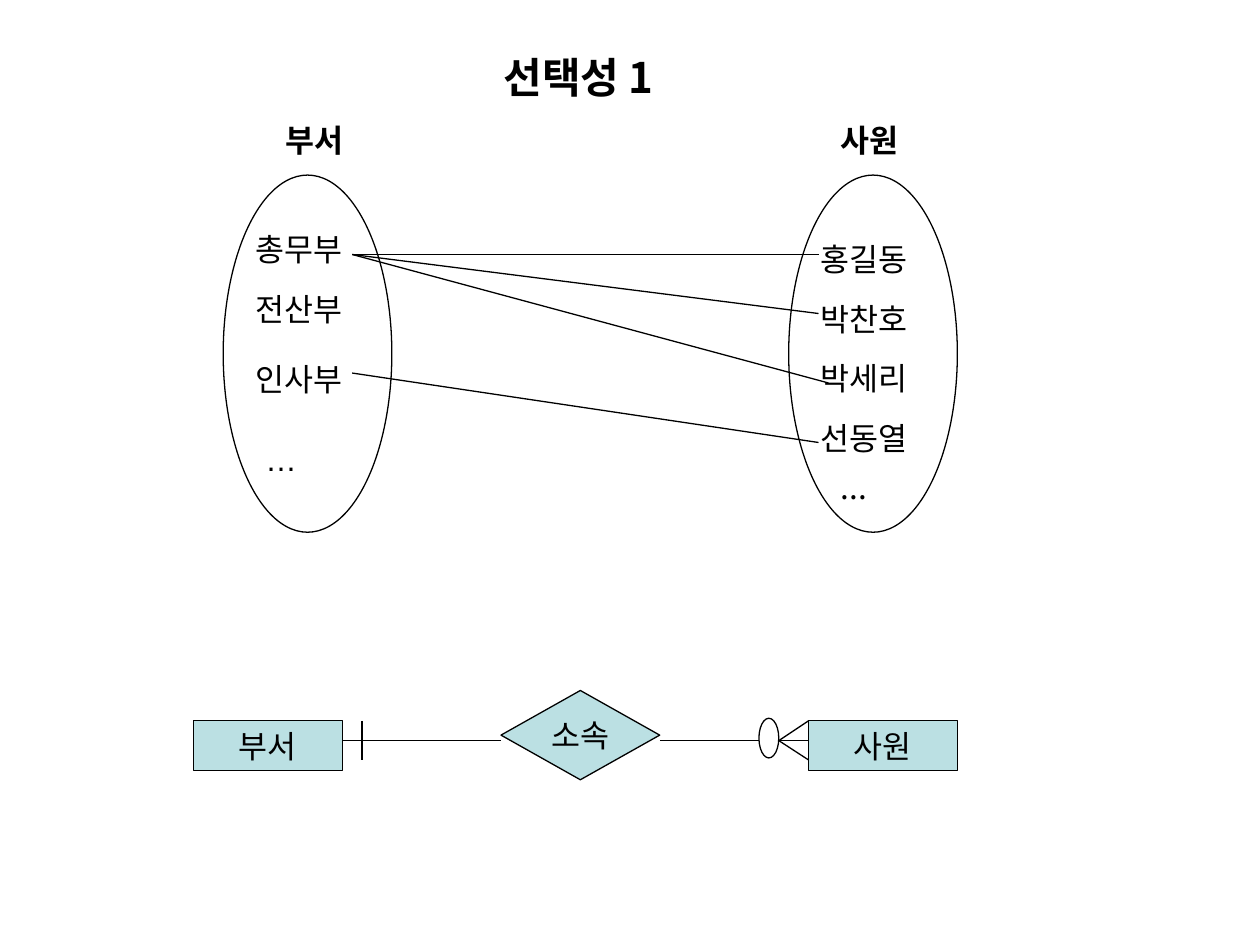
"""Build the slide on relation selectivity between departments and staff."""
from dataclasses import dataclass

from lxml import etree
from pptx import Presentation
from pptx.dml.color import RGBColor
from pptx.enum.shapes import MSO_CONNECTOR, MSO_SHAPE
from pptx.enum.text import MSO_ANCHOR, MSO_AUTO_SIZE, PP_ALIGN
from pptx.oxml.ns import qn
from pptx.util import Cm, Pt

OVAL = MSO_SHAPE.OVAL
RECT = MSO_SHAPE.RECTANGLE
DIAMOND = MSO_SHAPE.FLOWCHART_DECISION
STRAIGHT = MSO_CONNECTOR.STRAIGHT
LEFT, CENTER = PP_ALIGN.LEFT, PP_ALIGN.CENTER
TOP, MIDDLE = MSO_ANCHOR.TOP, MSO_ANCHOR.MIDDLE
GROW, FIXED = MSO_AUTO_SIZE.SHAPE_TO_FIT_TEXT, MSO_AUTO_SIZE.NONE
KOREAN, LATIN = "Noto Sans CJK KR", "Arial"
BLACK, WHITE, TEAL = "000000", "FFFFFF", "BBE0E3"


@dataclass
class Label:
    text: str
    x: float
    y: float
    wide: float = 2.6
    bold: bool = False
    face: str = KOREAN


@dataclass
class Node:
    kind: int
    x: float
    y: float
    wide: float
    high: float
    fill: str = WHITE
    text: str = ""


@dataclass
class Link:
    x1: float
    y1: float
    x2: float
    y2: float


MID = 14.93
DEPTS = (("총무부", 4.52), ("전산부", 5.72), ("인사부", 7.14))
STAFF = ("홍길동", "박찬호", "박세리", "선동열")

LABELS = [
    Label("부서", 5.5, 2.31, 3.6, True),
    Label("사원", 16.7, 2.31, 3.6, True),
    *(Label(name, 4.9, y) for name, y in DEPTS),
    Label("…", 5.1, 8.74, face=LATIN),
    *(Label(name, 16.3, 4.72 + 1.2 * row) for row, name in enumerate(STAFF)),
    Label("...", 16.7, 9.32),
]
SETS = [Node(OVAL, x, 3.53, 3.4, 7.2) for x in (4.5, 15.9)]
MODEL = [
    Node(RECT, 3.9, 14.53, 3, 1, TEAL, "부서"),
    Node(RECT, 16.3, 14.53, 3, 1, TEAL, "사원"),
    Node(DIAMOND, 10.1, 13.92, 3.2, 1.8, TEAL, "소속"),
]
RING = Node(OVAL, 15.3, 14.48, 0.4, 0.8)
LINKS = [
    Link(7.1, 5.13, 16.5, 5.13),
    Link(7.1, 5.13, 16.5, 6.32),
    Link(7.1, 5.13, 16.7, 7.72),
    Link(7.1, 7.52, 16.5, 8.92),
    Link(6.9, MID, 10.1, MID),
    Link(13.3, MID, 16.3, MID),
    Link(7.3, 14.53, 7.3, 15.32),
    Link(16.3, 14.53, 15.7, MID),
    Link(15.7, MID, 16.3, 15.32),
]


def color(code: str) -> RGBColor:
    """Turn a hex string into a colour."""
    return RGBColor.from_string(code)


def write(frame, text: str, size: int = 18, bold: bool = False,
          face: str = KOREAN, align=LEFT) -> None:
    """Put one run of text into a frame."""
    para = frame.paragraphs[0]
    para.alignment = align
    run = para.add_run()
    run.text = text
    font = run.font
    font.size, font.bold, font.name = Pt(size), bold, face
    font.color.rgb = color(BLACK)
    etree.SubElement(run._r.get_or_add_rPr(), qn("a:ea"), typeface=face)


def add_label(slide, item: Label) -> None:
    """Draw a free label."""
    box = slide.shapes.add_textbox(
        Cm(item.x), Cm(item.y), Cm(item.wide), Cm(1.02))
    frame = box.text_frame
    frame.word_wrap = True
    frame.auto_size = GROW
    write(frame, item.text, bold=item.bold, face=item.face)


def add_node(slide, item: Node) -> None:
    """Draw an outlined shape with optional centred text."""
    shape = slide.shapes.add_shape(
        item.kind, Cm(item.x), Cm(item.y), Cm(item.wide), Cm(item.high))
    shape.shadow.inherit = False
    shape.fill.solid()
    shape.fill.fore_color.rgb = color(item.fill)
    shape.line.color.rgb = color(BLACK)
    shape.line.width = Pt(0.75)
    if item.text:
        frame = shape.text_frame
        frame.word_wrap = False
        frame.vertical_anchor = MIDDLE
        write(frame, item.text, align=CENTER)


def add_link(slide, item: Link) -> None:
    """Draw a thin straight line."""
    line = slide.shapes.add_connector(
        STRAIGHT, Cm(item.x1), Cm(item.y1), Cm(item.x2), Cm(item.y2))
    line.line.color.rgb = color(BLACK)
    line.line.width = Pt(0.75)
    etree.SubElement(line._element.spPr, qn("a:effectLst"))


def set_title(slide, text: str) -> None:
    """Place and fill the title."""
    title = slide.shapes.title
    title.left, title.top = Cm(9.7), Cm(0.91)
    title.width, title.height = Cm(6.6), Cm(1.27)
    frame = title.text_frame
    frame.auto_size = FIXED
    frame.vertical_anchor = TOP
    frame.margin_left = Cm(0.45)
    write(frame, text, 24, True)


def main() -> None:
    """Build and save the slide."""
    deck = Presentation()
    deck.slide_width, deck.slide_height = Cm(25.4), Cm(19.05)
    slide = deck.slides.add_slide(deck.slide_layouts[5])
    set_title(slide, "선택성 1")
    for item in SETS:
        add_node(slide, item)
    for item in LABELS:
        add_label(slide, item)
    for item in LINKS:
        add_link(slide, item)
    for item in (*MODEL, RING):
        add_node(slide, item)
    deck.save("out.pptx")


if __name__ == "__main__":
    main()
